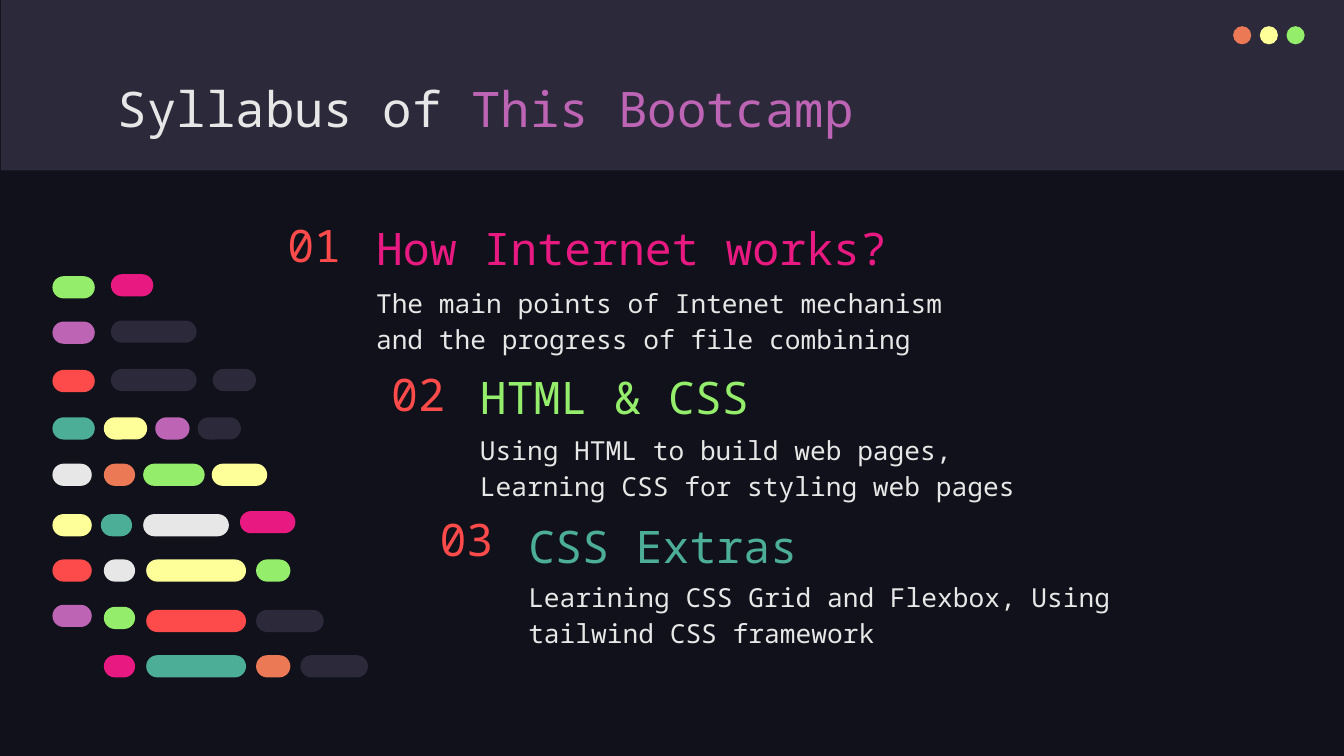
import pptx
import pptx.dml.color
import pptx.enum.shapes
import pptx.enum.text
import pptx.util

COLUMNS, ROWS = 1333, 750  # fine grid over the whole slide
SHAPE = pptx.enum.shapes.MSO_SHAPE
ANCHOR = pptx.enum.text.MSO_ANCHOR

NIGHT, SLATE, WHITE = "10111A", "2C293A", "E7E7E7"
ORANGE, YELLOW, GREEN = "EC7955", "FFFF99", "94EE6B"
PURPLE, PINK, RED, TEAL = "BD64B5", "E81A81", "FD4A4A", "4CAE97"


def colour(hex_string):
    return pptx.dml.color.RGBColor.from_string(hex_string)


def write(paragraph, text, *, size, color, font):
    run = paragraph.add_run()
    run.text = text
    run.font.size = pptx.util.Pt(size)
    run.font.name = font
    run.font.color.rgb = colour(color)


class SlideBuilder:
    font = "Noto Sans Mono"
    inset = pptx.util.Inches(0.13)

    def __init__(self, deck, background):
        self.column = deck.slide_width / COLUMNS
        self.row = deck.slide_height / ROWS
        self.slide = deck.slides.add_slide(deck.slide_layouts[6])
        fill = self.slide.background.fill
        fill.solid()
        fill.fore_color.rgb = colour(background)

    def place(self, left, top, width, height):
        return (round(left * self.column), round(top * self.row),
                round(width * self.column), round(height * self.row))

    def group(self):
        return self.slide.shapes.add_group_shape()

    def shape(self, kind, cells, fill, parent=None):
        shape = (parent or self.slide).shapes.add_shape(kind, *self.place(*cells))
        shape.shadow.inherit = False
        shape.fill.solid()
        shape.fill.fore_color.rgb = colour(fill)
        shape.line.fill.background()
        return shape

    def pill(self, cells, fill, parent):
        self.shape(SHAPE.ROUNDED_RECTANGLE, cells, fill, parent).adjustments[0] = 0.5

    def text(self, cells, runs, size, anchor=ANCHOR.TOP, spacing=None):
        frame = self.slide.shapes.add_textbox(*self.place(*cells)).text_frame
        frame.word_wrap = True
        frame.vertical_anchor = anchor
        frame.margin_left = frame.margin_right = self.inset
        frame.margin_top = frame.margin_bottom = self.inset
        paragraph = frame.paragraphs[0]
        if spacing:
            paragraph.line_spacing = spacing
        for words, color in runs:
            write(paragraph, words, size=size, color=color, font=self.font)


# Topics: left edge, number height, heading, heading colour, description
TOPICS = [
    (360, 57, "How Internet works?", PINK,
     "The main points of Intenet mechanism and the progress of file combining"),
    (463, 57, "HTML & CSS", GREEN,
     "Using HTML to build web pages, Learning CSS for styling web pages"),
    (511, 48, "CSS Extras", TEAL,
     "Learining CSS Grid and Flexbox, Using tailwind CSS framework"),
]

# Code lines: top, then left, width and colour of each token
CODE_LINES = [
    (274, [(52, 42, GREEN)]),
    (272, [(110, 42, PINK)]),
    (319, [(52, 42, PURPLE)]),
    (318, [(110, 85, SLATE)]),
    (367, [(52, 42, RED)]),
    (366, [(110, 85, SLATE), (211, 43, SLATE)]),
    (414, [(52, 42, TEAL), (103, 43, YELLOW), (154, 34, PURPLE), (196, 43, SLATE)]),
    (460, [(52, 39, WHITE), (103, 31, ORANGE), (142, 61, GREEN), (210, 55, YELLOW)]),
    (510, [(52, 39, YELLOW), (100, 31, TEAL), (142, 85, WHITE)]),
    (507, [(238, 55, PINK)]),
    (555, [(52, 39, RED), (103, 31, WHITE), (145, 99, YELLOW), (254, 34, GREEN)]),
    (600, [(52, 39, PURPLE)]),
    (602, [(103, 31, GREEN)]),
    (605, [(145, 99, RED), (254, 67, SLATE)]),
    (650, [(103, 31, PINK), (145, 99, TEAL), (254, 34, ORANGE), (298, 67, SLATE)]),
]


def main():
    deck = pptx.Presentation()
    deck.slide_width = pptx.util.Inches(13.33)
    deck.slide_height = pptx.util.Inches(7.5)
    syllabus = SlideBuilder(deck, NIGHT)

    # Header band with window buttons
    syllabus.shape(SHAPE.RECTANGLE, (1, 0, COLUMNS - 1, 169), SLATE)
    window_buttons = syllabus.group()
    for index, fill in enumerate((ORANGE, YELLOW, GREEN)):
        syllabus.shape(SHAPE.OVAL, (1223 + 26.5 * index, 26, 18, 18), fill, window_buttons)
    syllabus.text((104, 65, 1124, 84),
                  [("Syllabus of", WHITE), (" This Bootcamp", PURPLE)], 35)

    # Numbered topics
    for index, (left, number_height, heading, accent, description) in enumerate(TOPICS):
        top = 214 + 148 * index
        syllabus.text((left, 267 + 146 * index, 614, 84),
                      [(description, WHITE)], 18.7, spacing=1.15)
        syllabus.text((left - 88, top, 88, number_height),
                      [(f"{index + 1:02}", RED)], 32, ANCHOR.MIDDLE)
        syllabus.text((left, top, 614, 71), [(heading, accent)], 32,
                      ANCHOR.BOTTOM, 1.15)

    # Abstract code block
    code_block = syllabus.group()
    for top, tokens in CODE_LINES:
        for left, width, fill in tokens:
            syllabus.pill((left, top, width, 22), fill, code_block)

    deck.save("out.pptx")


if __name__ == "__main__":
    main()
